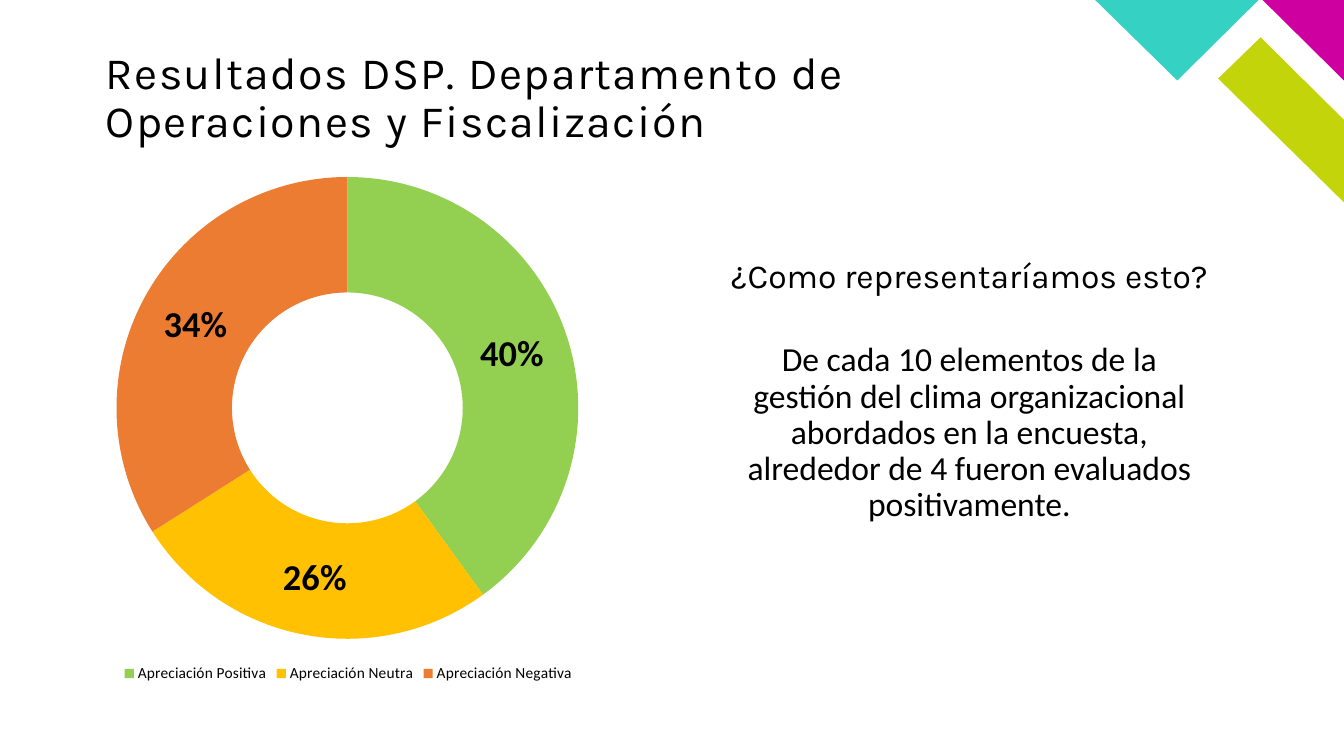
from pptx import Presentation
from pptx.chart.data import CategoryChartData
from pptx.dml.color import RGBColor
from pptx.enum.chart import XL_CHART_TYPE as ChartType, XL_LEGEND_POSITION as LegendPosition
from pptx.enum.text import MSO_ANCHOR as Anchor, PP_ALIGN as Align
from pptx.util import Cm, Pt

PAGE_WIDTH, PAGE_HEIGHT = 33.87, 19.05
BLACK = "000000"
RATINGS = [
    ("Apreciación Positiva", 0.40, "93D051"),
    ("Apreciación Neutra", 0.26, "FFC101"),
    ("Apreciación Negativa", 0.34, "EC7C31"),
]
CORNER_SHAPES = [
    ("C4D40A", [(0, 5.1), (0, 3.02), (-2.1, 0.94), (-3.17, 1.98)]),
    ("CE009F", [(0, 2.03), (0, 0), (-2.05, 0)]),
    ("35D2C4", [(-6.27, 0), (-4.2, 2.03), (-2.15, 0)]),
]


def color(value):
    return RGBColor.from_string(value)


def set_font(font, **values):
    font.color.rgb = color(values.pop("color", BLACK))
    for name, value in values.items():
        setattr(font, name, value)


def add_corner(page, right, top):
    for fill, points in CORNER_SHAPES:
        corners = [(Cm(right + x), Cm(top + y)) for x, y in points]
        builder = page.shapes.build_freeform(*corners[0])
        builder.add_line_segments(corners[1:], close=True)
        shape = builder.convert_to_shape()
        shape.shadow.inherit = False
        shape.fill.solid()
        shape.fill.fore_color.rgb = color(fill)
        shape.line.fill.background()


def add_text(page, box, text, font, frame_format, align=Align.LEFT, spacing=None):
    frame = page.shapes.add_textbox(*map(Cm, box)).text_frame
    for name, value in {"word_wrap": True, **frame_format}.items():
        setattr(frame, name, value)
    para = frame.paragraphs[0]
    para.alignment = align
    para.line_spacing = 0.9
    span = para.add_run()
    span.text = text
    set_font(span.font, **font)
    if spacing:
        span.font._element.set("spc", str(spacing))


def add_title(page, box):
    margins = ("margin_left", "margin_top", "margin_right", "margin_bottom")
    add_text(page, box, "Resultados DSP. Departamento de Operaciones y Fiscalización",
             {"name": "Karla", "size": Pt(32)}, dict.fromkeys(margins, 0), spacing=100)


def add_message(page, box):
    left, top, width, height = box
    middle = {"vertical_anchor": Anchor.MIDDLE}
    add_text(page, (left, top, width, 2.21), "¿Como representaríamos esto?",
             {"name": "Karla", "size": Pt(24)}, middle, Align.CENTER)
    add_text(page, (left + 0.16, top + 1.9, width - 0.32, height - 1.9),
             "De cada 10 elementos de la gestión del clima organizacional abordados "
             "en la encuesta, alrededor de\u00a04\u00a0fueron evaluados positivamente.",
             {"name": "Calibri", "size": Pt(24)}, middle, Align.CENTER)


def add_ratings_chart(page, box):
    data = CategoryChartData(number_format="0%")
    data.categories = [name for name, _, _ in RATINGS]
    data.add_series("Series 1", [value for _, value, _ in RATINGS])
    chart = page.shapes.add_chart(ChartType.DOUGHNUT, *map(Cm, box), data).chart
    set_font(chart.font, name="Calibri", size=Pt(18))
    chart.has_title = False
    chart.has_legend = True
    chart.legend.position = LegendPosition.BOTTOM
    chart.legend.include_in_layout = False
    set_font(chart.legend.font, name="Calibri", size=Pt(11))

    plot = chart.plots[0]
    plot.vary_by_categories = True
    series = plot.series[0]
    for index, (_, _, fill) in enumerate(RATINGS):
        slice_format = series.points[index].format
        slice_format.fill.solid()
        slice_format.fill.fore_color.rgb = color(fill)
        slice_format.line.fill.background()
    labels = series.data_labels
    label_format = {"show_value": True, "show_percentage": False,
                    "number_format": "0%", "number_format_is_linked": False}
    for name, value in label_format.items():
        setattr(labels, name, value)
    set_font(labels.font, name="Calibri", size=Pt(26), bold=True)


def main():
    deck = Presentation()
    deck.slide_width, deck.slide_height = Cm(PAGE_WIDTH), Cm(PAGE_HEIGHT)
    page = deck.slides.add_slide(deck.slide_layouts[6])
    add_corner(page, PAGE_WIDTH, 0)
    add_title(page, (2.67, 1.27, 25.4, 1.7))
    add_message(page, (18.08, 5.9, 12.7, 8.15))
    add_ratings_chart(page, (2.18, 4.11, 13.2, 13.2))
    deck.save("out.pptx")


if __name__ == "__main__":
    main()
